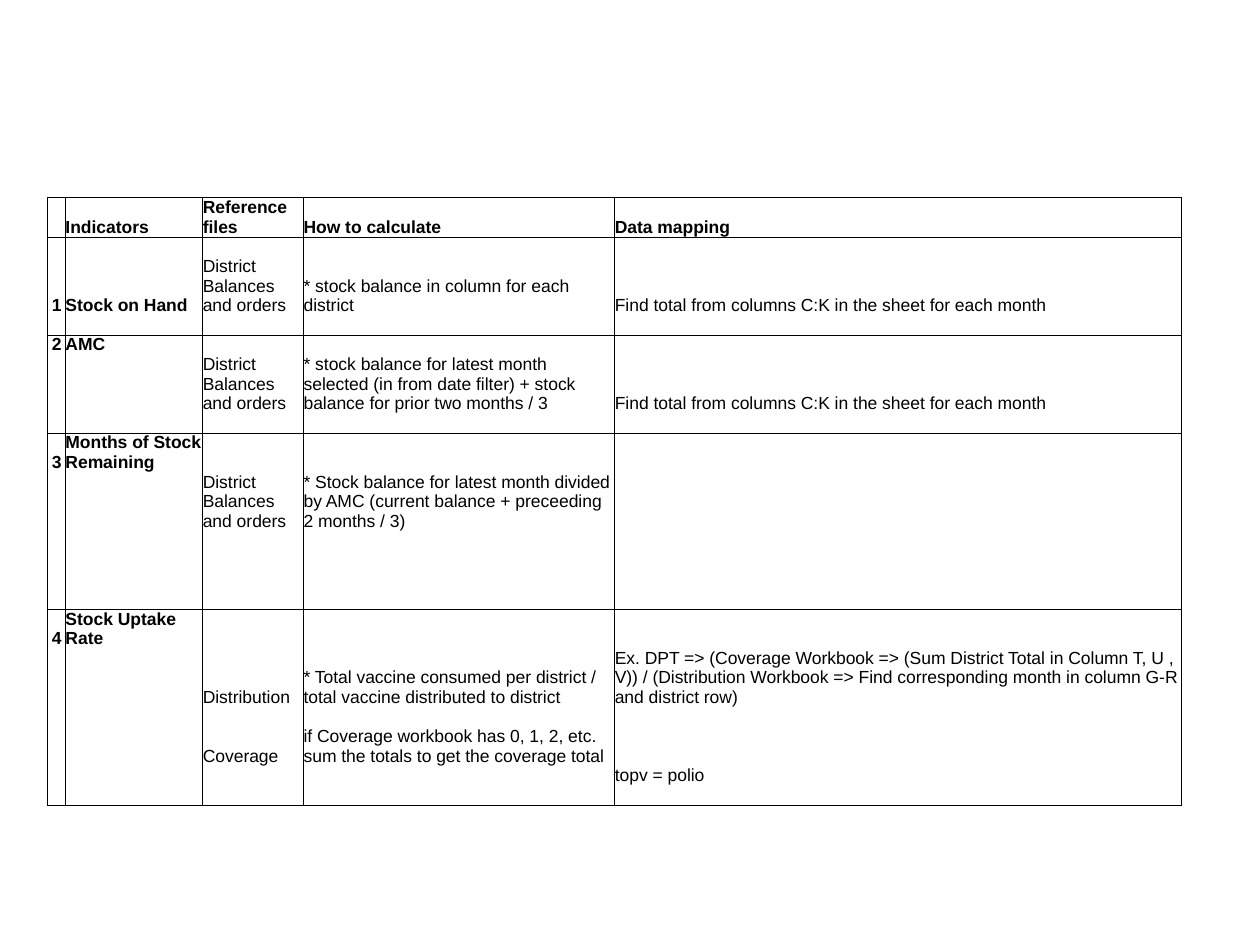
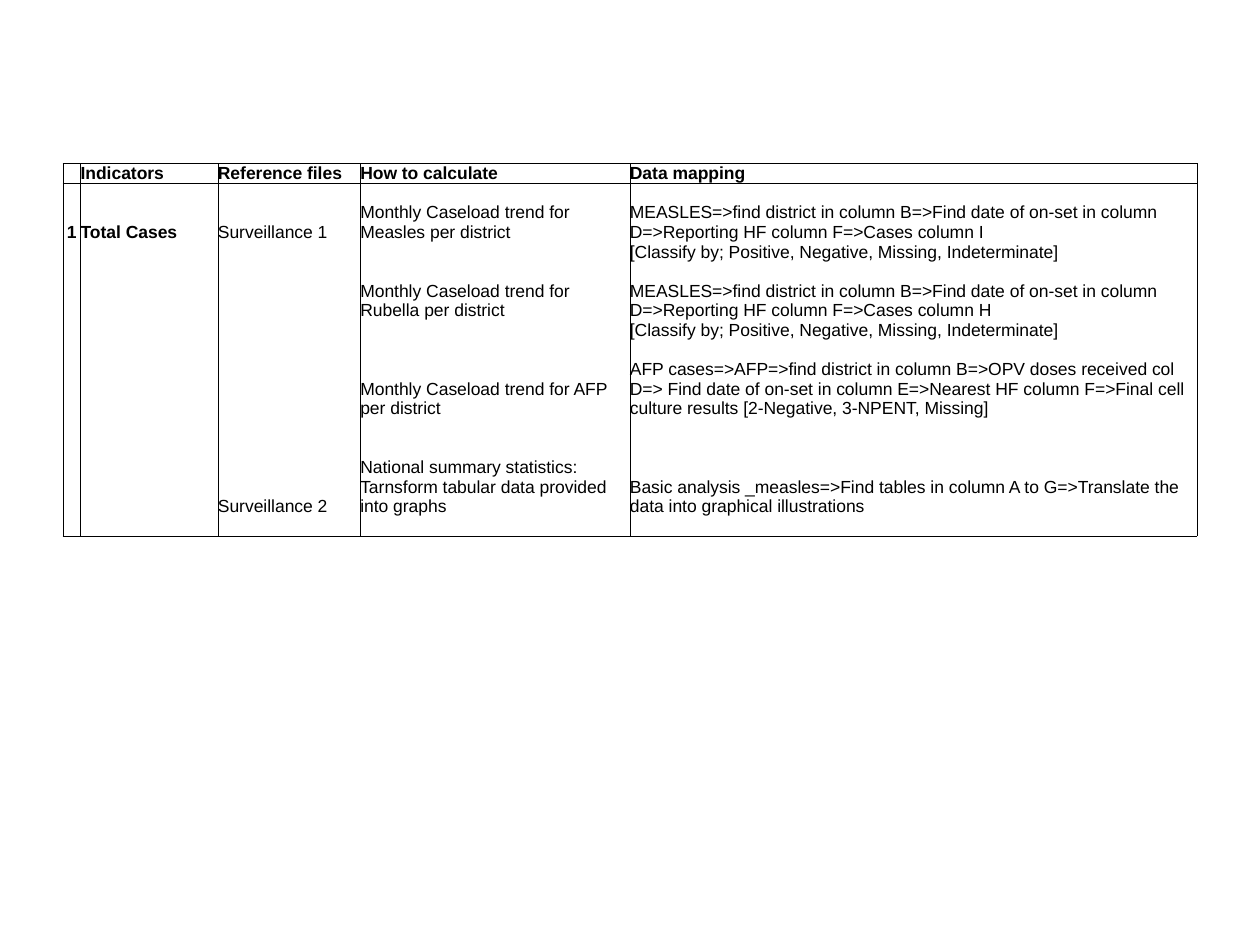
from lxml import etree
from pptx import Presentation
from pptx.dml.color import RGBColor
from pptx.enum.text import MSO_ANCHOR, PP_ALIGN
from pptx.oxml.ns import qn
from pptx.util import Inches, Pt

BLACK = RGBColor(0, 0, 0)
FONT = "Arial"
TEXT_SIZE = 10
BORDER_WIDTH = Pt(0.5)
LINE_HEIGHT = Pt(11.2)  # one line of table text
NO_GRID_STYLE = "{2D5ABB26-0587-4C30-8999-92F81FD0307C}"

HEADINGS = ("", "Indicators", "Reference files", "How to calculate", "Data mapping")
BLANK = (1, ("",) * len(HEADINGS))
BALANCES = "District Balances and orders"
MONTH_TOTAL = "Find total from columns C:K in the sheet for each month"
CLASSIFY = (1, ("", "", "", "", "[Classify by; Positive, Negative, Missing, Indeterminate]"))
MEASLES = ("MEASLES=>find district in column B=>Find date of on-set in column "
           "D=>Reporting HF column F=>Cases column ")

# Each indicator is a list of rows: (lines of text, cells)
STOCK_INDICATORS = [
    [BLANK,
     (3, ("1", "Stock on Hand", BALANCES,
          "* stock balance in column for each district", MONTH_TOTAL)),
     BLANK],
    [(1, ("2", "AMC", "", "", "")),
     (3, ("", "", BALANCES,
          "* stock balance for latest month selected (in from date filter) + stock "
          "balance for prior two months / 3", MONTH_TOTAL)),
     BLANK],
    [(2, ("3", "Months of Stock Remaining", "", "", "")),
     (3, ("", "", BALANCES,
          "* Stock balance for latest month divided by AMC (current balance + "
          "preceeding 2 months / 3)", "")),
     *[BLANK] * 4],
    [(2, ("4", "Stock Uptake Rate", "", "", "")),
     (3, ("", "", "Distribution",
          "* Total vaccine consumed per district / total vaccine distributed to district",
          "Ex. DPT => (Coverage Workbook => (Sum District Total in Column T, U , V)) / "
          "(Distribution Workbook => Find corresponding month in column G-R and district row)")),
     BLANK,
     (2, ("", "", "Coverage",
          "if Coverage workbook has 0, 1, 2, etc. sum the totals to get the coverage total", "")),
     (1, ("", "", "", "", "topv = polio")),
     BLANK],
]

CASE_INDICATORS = [
    [BLANK,
     (2, ("1", "Total Cases", "Surveillance 1",
          "Monthly Caseload trend for Measles per district", MEASLES + "I")),
     CLASSIFY,
     BLANK,
     (2, ("", "", "", "Monthly Caseload trend for Rubella per district", MEASLES + "H")),
     CLASSIFY,
     BLANK,
     (3, ("", "", "", "Monthly Caseload trend for AFP per district",
          "AFP cases=>AFP=>find district in column B=>OPV doses received col D=> Find date "
          "of on-set in column E=>Nearest HF column F=>Final cell culture results "
          "[2-Negative, 3-NPENT, Missing]")),
     BLANK,
     BLANK,
     (3, ("", "", "Surveillance 2",
          "National summary statistics: Tarnsform tabular data provided into graphs",
          "Basic analysis _measles=>Find tables in column A to G=>Translate the data into "
          "graphical illustrations")),
     BLANK],
]


def write_text(cell, text, bold=False, align=PP_ALIGN.LEFT, size=TEXT_SIZE, color=BLACK):
    cell.margin_left = cell.margin_right = cell.margin_top = cell.margin_bottom = 0
    cell.vertical_anchor = MSO_ANCHOR.BOTTOM
    paragraph = cell.text_frame.paragraphs[0]
    paragraph.alignment = align
    if not text:
        # Keeps an empty cell as low as one line of text
        end = etree.SubElement(paragraph._p, qn("a:endParaRPr"), sz=str(size * 100))
        etree.SubElement(end, qn("a:latin"), typeface=FONT)
        return
    run = paragraph.add_run()
    run.text = text
    run.font.name, run.font.size, run.font.bold = FONT, Pt(size), bold
    run.font.color.rgb = color


def outline_cell(cell, top, bottom):
    """Draw the side borders, and the top and bottom ones where asked."""
    properties = cell._tc.get_or_add_tcPr()
    for side, drawn in (("L", True), ("R", True), ("T", top), ("B", bottom)):
        border = etree.SubElement(properties, qn(f"a:ln{side}"), w=str(BORDER_WIDTH))
        if drawn:
            fill = etree.SubElement(border, qn("a:solidFill"))
            etree.SubElement(fill, qn("a:srgbClr"), val=str(BLACK))
        else:
            etree.SubElement(border, qn("a:noFill"))
    cell.fill.background()


def add_indicator_table(slide, left, top, widths, heading_lines, indicators):
    groups = [[(heading_lines, HEADINGS)], *indicators]
    row_lines = [lines for group in groups for lines, _ in group]
    table = slide.shapes.add_table(
        len(row_lines), len(widths), Inches(left), Inches(top),
        Inches(sum(widths)), sum(row_lines) * LINE_HEIGHT).table
    table.first_row = table.horz_banding = False
    table._tbl.tblPr.find(qn("a:tableStyleId")).text = NO_GRID_STYLE
    for column, width in zip(table.columns, widths):
        column.width = Inches(width)
    for row, lines in zip(table.rows, row_lines):
        row.height = lines * LINE_HEIGHT

    rows = iter(table.rows)
    for group in groups:
        for position, (_, texts) in enumerate(group):
            for column, (cell, text) in enumerate(zip(next(rows).cells, texts)):
                write_text(cell, text, bold=texts is HEADINGS or column < 2,
                           align=PP_ALIGN.CENTER if column == 0 else PP_ALIGN.LEFT)
                outline_cell(cell, top=position == 0, bottom=position == len(group) - 1)


def main():
    deck = Presentation()
    deck.slide_width, deck.slide_height = Inches(10), Inches(7.5)
    blank_layout = deck.slide_layouts[6]
    add_indicator_table(deck.slides.add_slide(blank_layout), 0.38, 1.57,
                        (0.14, 1.09, 0.8, 2.47, 4.5), 2, STOCK_INDICATORS)
    add_indicator_table(deck.slides.add_slide(blank_layout), 0.5, 1.3,
                        (0.14, 1.09, 1.13, 2.14, 4.5), 1, CASE_INDICATORS)
    deck.save("out.pptx")


if __name__ == "__main__":
    main()
